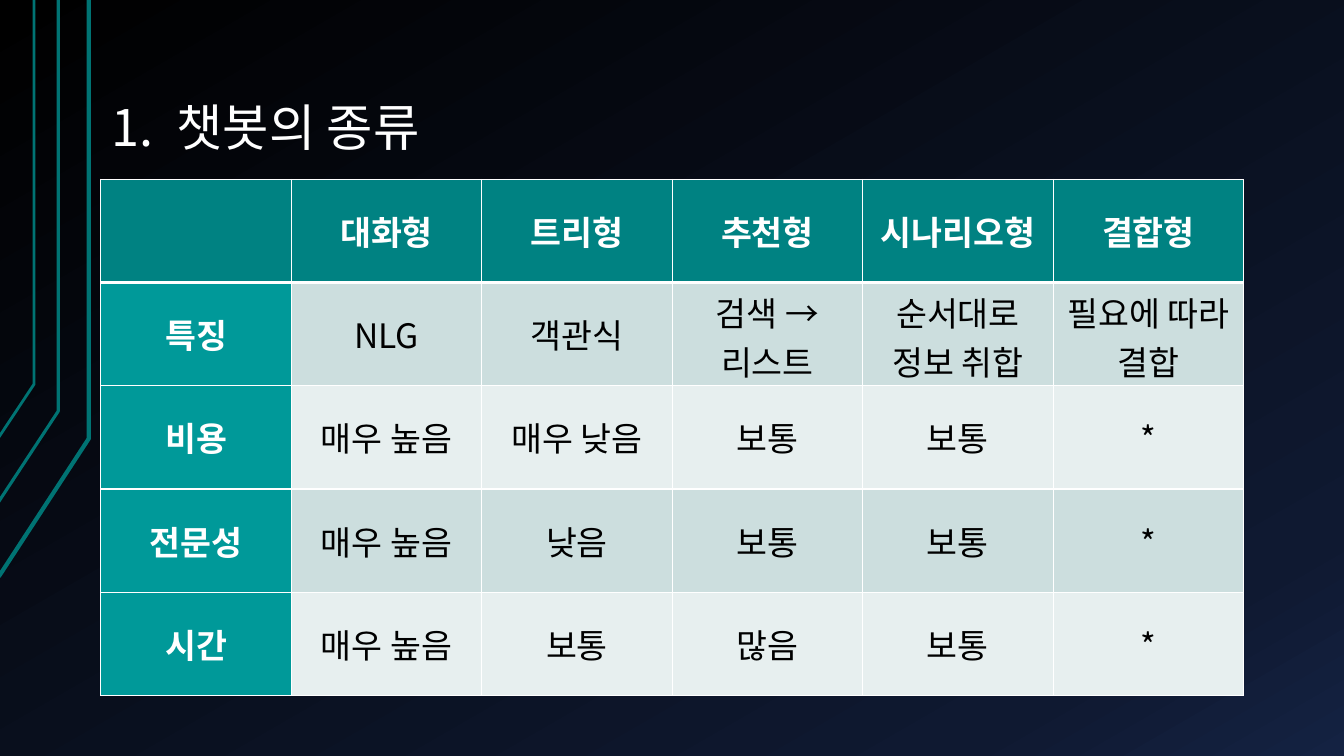
from copy import deepcopy
from lxml import etree
from pptx import Presentation
from pptx.dml.color import RGBColor
from pptx.enum.text import MSO_ANCHOR, PP_ALIGN
from pptx.oxml.ns import qn
from pptx.util import Cm, Pt

BOTTOM, MIDDLE = MSO_ANCHOR.BOTTOM, MSO_ANCHOR.MIDDLE
CENTER = PP_ALIGN.CENTER
FONT = "Noto Sans CJK KR"
COLORS = {
    "white": "FFFFFF", "black": "000000", "navy": "0F1931", "blue": "142242",
    "line": "007373", "header": "008282", "label": "009999",
    "dark_band": "CCDEDE", "light_band": "E7EFEF",
}


def style_run(r, size, color, bold=False):
    r.font.size = Pt(size)
    r.font.bold = bold
    r.font.name = FONT
    r.font.color.rgb = RGBColor.from_string(COLORS[color])
    etree.SubElement(r.font._element, qn("a:ea"), typeface=FONT)


def add_border(cell, side, width):
    ln = etree.SubElement(cell._tc.get_or_add_tcPr(), qn(f"a:ln{side}"), w=str(Pt(width)))
    fill = etree.SubElement(ln, qn("a:solidFill"))
    etree.SubElement(fill, qn("a:srgbClr"), val=COLORS["white"])


prs = Presentation()
prs.slide_width, prs.slide_height = Cm(33.87), Cm(19.05)
s = prs.slides.add_slide(prs.slide_layouts[6])

bg = s.background.fill
bg.gradient()
bg.gradient_angle = 300
stops = s.element.find(".//" + qn("a:gsLst"))
stops.append(deepcopy(stops[0]))
for stop, position, color in zip(bg.gradient_stops, (0, 0.85, 1), ("black", "navy", "blue")):
    stop.position = position
    stop.color.rgb = RGBColor.from_string(COLORS[color])

circuit_lines = [
    (-0.03, 14.53, 2.24, 11.05, 3),
    (-0.05, 12.67, 1.47, 10.36, 2.25),
    (-0.03, 11.02, 0.86, 9.68, 2),
]
for left, end_y, right, bend_y, width in circuit_lines:
    builder = s.shapes.build_freeform(Cm(left), Cm(end_y))
    builder.add_line_segments([(Cm(right), Cm(bend_y)), (Cm(right), 0)], close=False)
    sp = builder.convert_to_shape()
    sp.shadow.inherit = False
    sp.fill.background()
    sp.line.color.rgb = RGBColor.from_string(COLORS["line"])
    sp.line.width = Pt(width)

title = s.shapes.add_textbox(Cm(2.49), Cm(0.74), Cm(28.78), Cm(3.4))
tf = title.text_frame
tf.word_wrap = True
tf.vertical_anchor = BOTTOM
tf.margin_left = tf.margin_right = Cm(0.33)
tf.margin_top = tf.margin_bottom = Cm(0.18)
p = tf.paragraphs[0]
p.line_spacing = 0.9
for text in ("1.", " ", "챗봇의 종류"):
    r = p.add_run()
    r.text = text
    style_run(r, 36, "white")
p.runs[1].font._element.set("spc", "800")

rows = [
    ["", "대화형", "트리형", "추천형", "시나리오형", "결합형"],
    ["특징", "NLG", "객관식", "검색 →\n리스트", "순서대로 정보 취합", "필요에 따라 결합"],
    ["비용", "매우 높음", "매우 낮음", "보통", "보통", "*"],
    ["전문성", "매우 높음", "낮음", "보통", "보통", "*"],
    ["시간", "매우 높음", "보통", "많음", "보통", "*"],
]
table = s.shapes.add_table(5, 6, Cm(2.54), Cm(4.52), Cm(28.8), Cm(13)).table
for column in table.columns:
    column.width = Cm(4.8)
for i, row in enumerate(rows):
    table.rows[i].height = Cm(2.6)
    for j, text in enumerate(row):
        cell = table.cell(i, j)
        heading = i == 0 or j == 0
        if i == 0:
            color = "header"
        elif j == 0:
            color = "label"
        else:
            color = "dark_band" if i % 2 else "light_band"
        add_border(cell, "L", 1)
        add_border(cell, "R", 1)
        add_border(cell, "T", 3 if i == 1 else 1)
        add_border(cell, "B", 3 if i == 0 else 1)
        cell.fill.solid()
        cell.fill.fore_color.rgb = RGBColor.from_string(COLORS[color])
        cell.vertical_anchor = MIDDLE
        cell.text_frame.text = text
        for p in cell.text_frame.paragraphs:
            p.alignment = CENTER
            for r in p.runs:
                style_run(r, 24, "white" if heading else "black", heading)

prs.save("out.pptx")
